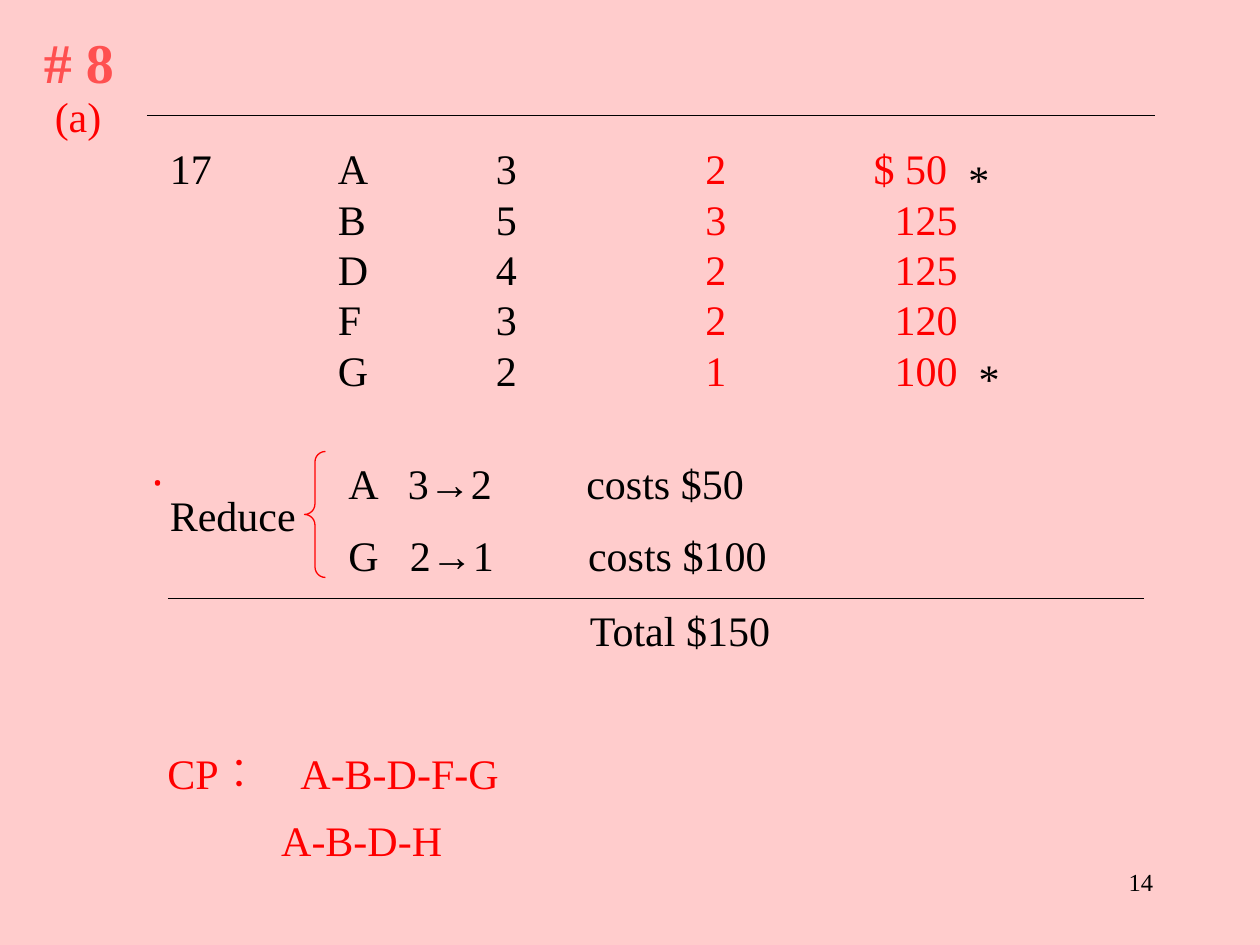
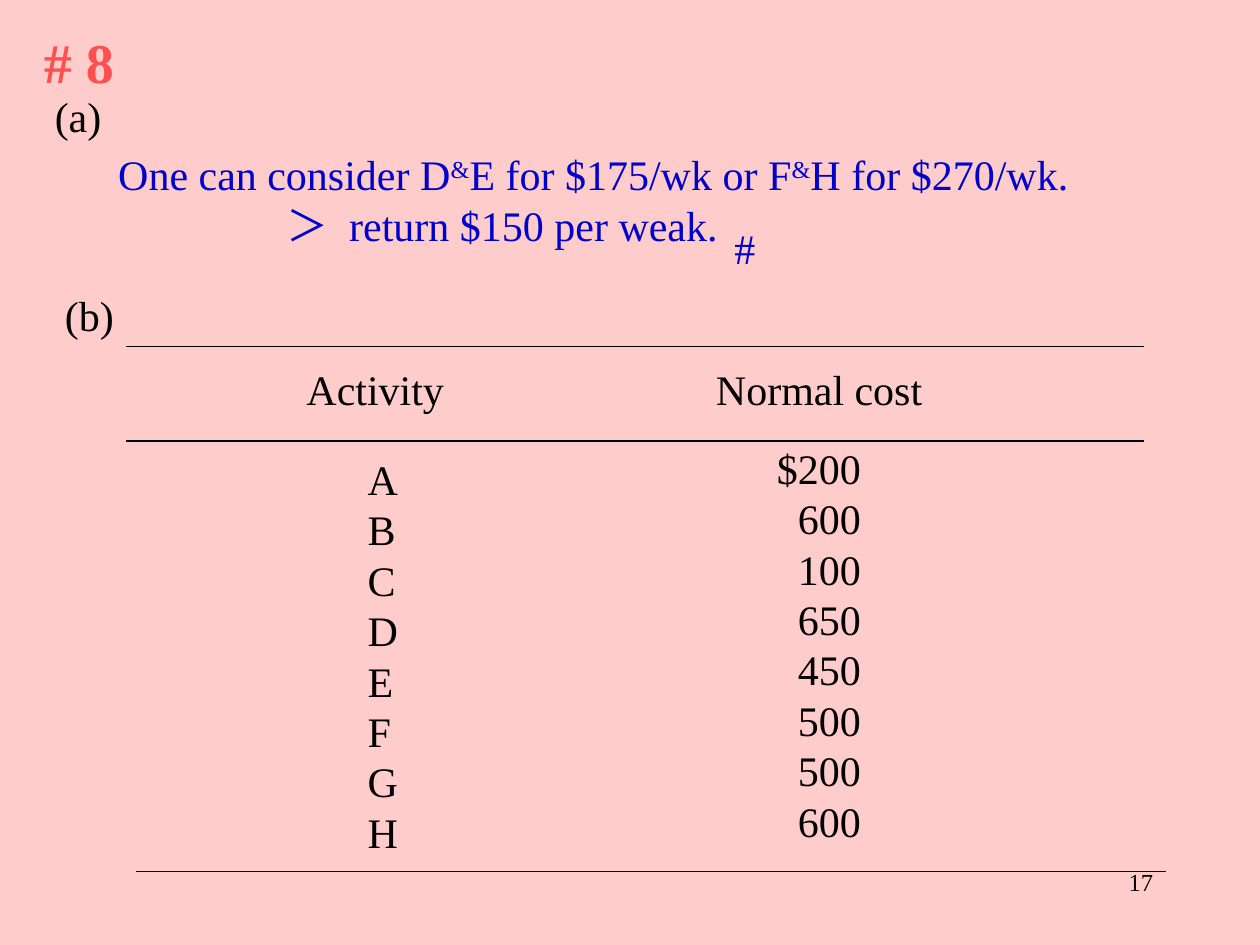
"""Build two crash-cost worked-solution slides for problem 8."""
from lxml import etree
from pptx import Presentation
from pptx.dml.color import RGBColor
from pptx.enum.shapes import MSO_CONNECTOR, MSO_SHAPE
from pptx.enum.text import PP_ALIGN
from pptx.oxml.ns import qn
from pptx.util import Pt

LEFT, RIGHT = PP_ALIGN.LEFT, PP_ALIGN.RIGHT
STRAIGHT, BRACE = MSO_CONNECTOR.STRAIGHT, MSO_SHAPE.LEFT_BRACE
PINK = RGBColor(0xFF, 0xCC, 0xCC)
CORAL = RGBColor(0xFF, 0x50, 0x50)
RED = RGBColor(0xFF, 0, 0)
BLUE = RGBColor(0, 0, 0xCC)
BLACK = RGBColor(0, 0, 0)
FONT = "Times New Roman"
LEADING = 1.2
INSET_X, INSET_Y = 7.2, 3.6

CRASH_TOP = 78
CRASH_COLUMNS = [
    (90, 42, ["17"], {}),
    (186, 34, ["A", "B", "D", "F", "G"], {}),
    (276.2, 29, ["3", "5", "4", "3", "2"], {}),
    (396, 29, ["2", "3", "2", "2", "1"], {"color": RED}),
    (492.2, 66, ["$ 50", "125", "125", "120", "100"], {"color": RED, "rest_indent": 12}),
]
STARS = [(546.2, 84.2), (552.2, 198)]
REDUCTIONS = ["A\t3→2\tcosts $50", "G\t2→1\tcosts $100"]
REDUCTION_TABS = [(34, 136), (35.2, 137)]
PATHS = ["CP︰\tA-B-D-F-G", "\tA-B-D-H"]

ADVICE = ["One can consider D^&^E for $175/wk or F^&^H for $270/wk.",
          "\t＞\treturn $150 per weak."]
COST_HEADERS = [(168, 98, "Activity"), (402, 140, "Normal cost")]
COSTS = {"A": "$200", "B": "600", "C": "100", "D": "650",
         "E": "450", "F": "500", "G": "500", "H": "600"}


def add_text(s, x, y, w, lines, size=24, color=BLACK, bold=False, align=LEFT,
             gap=0, rest_indent=0, tabs=()):
    """Add lines of text; parts between carets are superscript, tabs hold stops per line."""
    lines = [lines] if isinstance(lines, str) else lines
    h = len(lines) * size * LEADING + (len(lines) - 1) * gap + 2 * INSET_Y
    tf = s.shapes.add_textbox(Pt(x), Pt(y), Pt(w), Pt(h)).text_frame
    tf.word_wrap = True
    tf.margin_left = tf.margin_right = Pt(INSET_X)
    tf.margin_top = tf.margin_bottom = Pt(INSET_Y)
    for i, line in enumerate(lines):
        p = tf.add_paragraph() if i else tf.paragraphs[0]
        p.alignment = align
        p.line_spacing = Pt(size * LEADING)
        if i and gap:
            p.space_before = Pt(gap)
        ppr = p._p.get_or_add_pPr()
        if i and rest_indent:
            ppr.set("marL", str(Pt(rest_indent)))
            ppr.set("indent", "0")
        if tabs:
            tab_list = etree.SubElement(ppr, qn("a:tabLst"))
            for stop in tabs[i]:
                etree.SubElement(tab_list, qn("a:tab"), pos=str(Pt(stop)), algn="l")
        for j, part in enumerate(line.split("^")):
            r = p.add_run()
            r.text = part
            r.font.name, r.font.size, r.font.bold = FONT, Pt(size), bold
            r.font.color.rgb = color
            if j % 2:
                r._r.get_or_add_rPr().set("baseline", "30000")


def add_rule(s, x1, x2, y):
    """Add a thin horizontal rule."""
    line = s.shapes.add_connector(STRAIGHT, Pt(x1), Pt(y), Pt(x2), Pt(y))
    line.line.color.rgb = BLACK
    line.line.width = Pt(0.75)
    etree.SubElement(line._element.spPr, qn("a:effectLst"))


def add_slide(prs, number, part_color):
    """Add a slide with the shared background, heading, part label and number."""
    s = prs.slides.add_slide(prs.slide_layouts[6])
    s.background.fill.solid()
    s.background.fill.fore_color.rgb = PINK
    add_text(s, 18, 12.2, 60, "# 8", size=32, color=CORAL, bold=True)
    add_text(s, 24.2, 48.2, 46, "(a)", color=part_color)
    add_text(s, 516, 492, 150, number, size=14, align=RIGHT)
    return s


def add_crash_slide(prs):
    """Add the crash steps, the chosen reductions and the critical paths."""
    s = add_slide(prs, "14", RED)
    add_rule(s, 84, 660, 66)
    for x, w, lines, style in CRASH_COLUMNS:
        add_text(s, x, CRASH_TOP, w, lines, **style)
    for x, y in STARS:
        add_text(s, x, y, 29, "*")

    add_text(s, 80, 255.6, 24, "‧", color=RED)
    add_text(s, 90, 276, 92, "Reduce")
    brace = s.shapes.add_shape(BRACE, Pt(174), Pt(258), Pt(12), Pt(72))
    brace.adjustments[0] = 0.5
    brace.shadow.inherit = False
    brace.fill.background()
    brace.line.color.rgb = RED
    brace.line.width = Pt(0.75)
    add_text(s, 192, 258, 258, REDUCTIONS, gap=12, tabs=REDUCTION_TABS)
    add_rule(s, 96, 654, 342)
    add_text(s, 330, 342, 125, "Total $150")
    add_text(s, 88.6, 423.4, 205, PATHS, color=RED, gap=9.6, tabs=[(76,), (65,)])


def add_cost_slide(prs):
    """Add the closing advice and the normal cost listing."""
    s = add_slide(prs, "17", BLACK)
    add_text(s, 60.5, 81.4, 576, ADVICE, color=BLUE, tabs=[(96, 132)] * 2)
    add_text(s, 412.6, 123.4, 29, "#", color=BLUE)

    add_text(s, 30, 162, 48, "(b)")
    for x1, x2, y in [(72, 654, 198), (72, 654, 252), (78, 666, 498)]:
        add_rule(s, x1, x2, y)
    for x, w, header in COST_HEADERS:
        add_text(s, x, 204, w, header)
    add_text(s, 203, 255.6, 36, list(COSTS))
    add_text(s, 429, 249.2, 70, list(COSTS.values()), align=RIGHT)


def main():
    """Create and save the deck."""
    prs = Presentation()
    prs.slide_width, prs.slide_height = Pt(720), Pt(540)
    add_crash_slide(prs)
    add_cost_slide(prs)
    prs.save("out.pptx")


if __name__ == "__main__":
    main()
